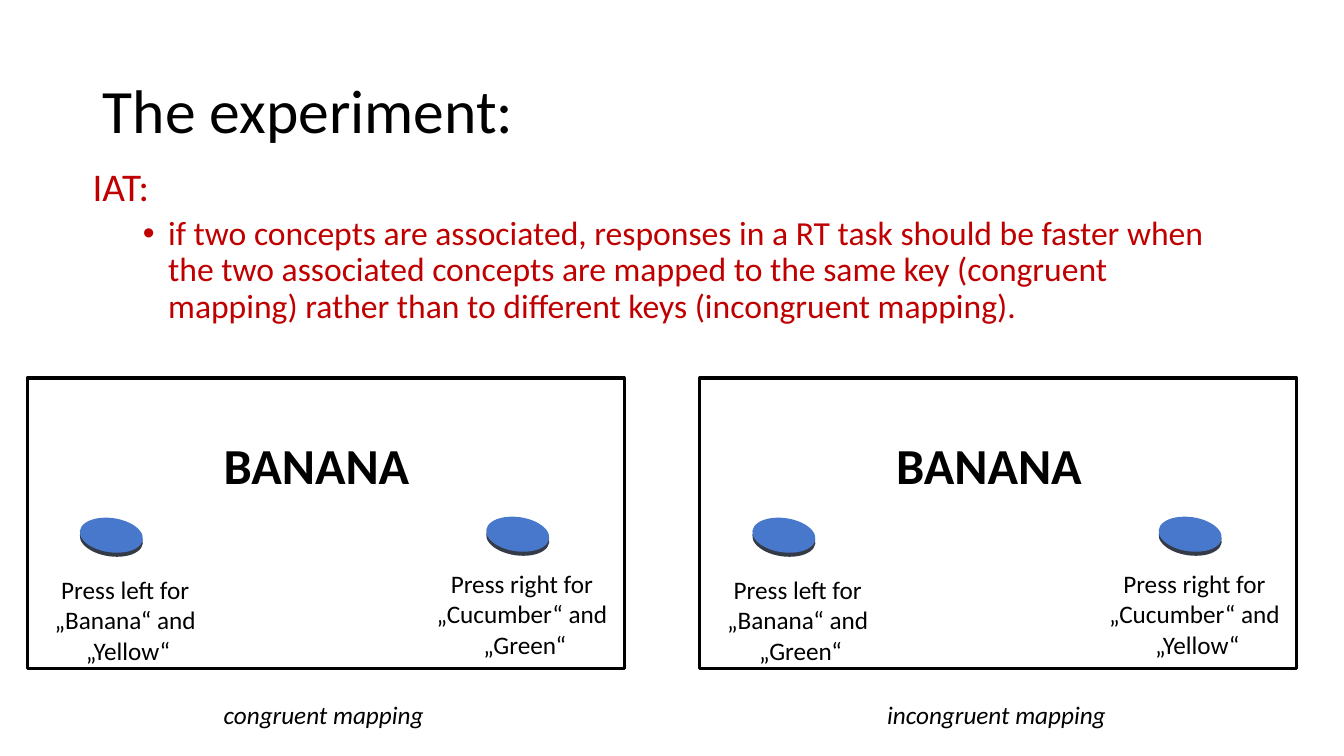
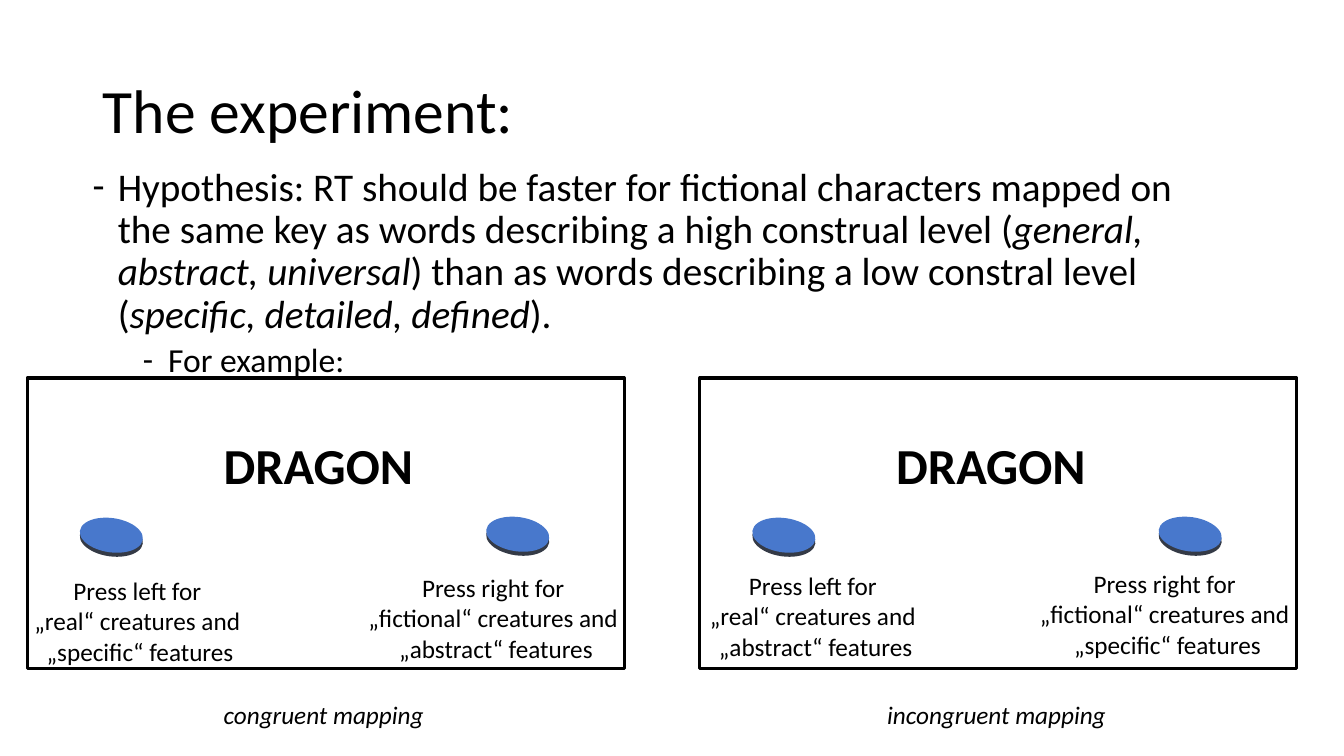
from lxml import etree
from pptx import Presentation
from pptx.dml.color import RGBColor
from pptx.enum.shapes import MSO_SHAPE as SHAPE
from pptx.enum.text import MSO_ANCHOR as ANCHOR, MSO_AUTO_SIZE as AUTO, PP_ALIGN as ALIGN
from pptx.oxml.ns import qn
from pptx.util import Inches, Pt

FONT = "Calibri"
BLACK, RED, BLUE, EDGE = "000000", "C00000", "4878CC", "343A46"
PANEL_STEP = 6.67
BUTTON_STEP = 4.03

prs = Presentation()
prs.slide_width, prs.slide_height = Inches(13.33), Inches(7.5)


def style(p, size, color=BLACK, bold=False, italic=False):
    for r in p.runs:
        r.font.name, r.font.size = FONT, Pt(size)
        r.font.color.rgb = RGBColor.from_string(color)
        r.font.bold = bold
        r.font.italic = italic


def add_label(s, box, lines, size, align=ALIGN.LEFT, **look):
    tf = s.shapes.add_textbox(*map(Inches, box)).text_frame
    tf.word_wrap = False
    tf.text = "\n".join(lines)
    for p in tf.paragraphs:
        p.alignment = align
        style(p, size, **look)


slides = [
    {
        "color": RED,
        "body": [
            (0, None, ["IAT:"]),
            (1, "•", ["if two concepts are associated, responses in a RT task should be faster "
                      "when the two associated concepts are mapped to the same key (congruent "
                      "mapping) rather than to different keys (incongruent mapping)."]),
        ],
        "word": "BANANA",
        "word_width": 2.07,
        "keys": [
            ((0.43, 5.65, 1.68, 1.01), ["Press left for ", "„Banana“ and ", "„Yellow“"]),
            ((4.22, 5.59, 1.97, 1.01), ["Press right for ", "„Cucumber“ and ", "„Green“"]),
            ((7.1, 5.65, 1.68, 1.01), ["Press left for ", "„Banana“ and ", "„Green“"]),
            ((10.89, 5.59, 1.97, 1.01), ["Press right for ", "„Cucumber“ and ", "„Yellow“"]),
        ],
    },
    {
        "color": BLACK,
        "body": [
            (0, "-", ["Hypothesis: RT should be faster for fictional characters mapped on the "
                      "same key as words describing a high construal level (",
                      "general, abstract, universal",
                      ") than as words describing a low constral level (",
                      "specific, detailed, defined", ")."]),
            (1, "-", ["For example: "]),
        ],
        "word": "DRAGON",
        "word_width": 2.1,
        "keys": [
            ((0.23, 5.66, 2.32, 1.01),
             ["Press left for ", "„real“ creatures and ", "„specific“ features"]),
            ((3.54, 5.63, 2.76, 1.01),
             ["Press right for ", "„fictional“ creatures and ", "„abstract“ features"]),
            ((6.93, 5.61, 2.32, 1.01),
             ["Press left for ", "„real“ creatures and ", "„abstract“ features"]),
            ((10.2, 5.59, 2.76, 1.01),
             ["Press right for ", "„fictional“ creatures and ", "„specific“ features"]),
        ],
    },
]
captions = [((2.12, 6.89, 2.24, 0.4), "congruent mapping"),
            ((8.7, 6.89, 2.39, 0.4), "incongruent mapping")]

for content in slides:
    s = prs.slides.add_slide(prs.slide_layouts[5])

    title = s.shapes.title
    title.left, title.top, title.width, title.height = map(Inches, (0.92, 0.4, 11.5, 1.45))
    tf = title.text_frame
    tf.text = "The experiment:"
    tf.auto_size, tf.vertical_anchor = AUTO.NONE, ANCHOR.MIDDLE
    p = tf.paragraphs[0]
    p.alignment, p.line_spacing = ALIGN.LEFT, 0.9
    style(p, 44)

    tf = s.shapes.add_textbox(*map(Inches, (0.82, 1.61, 11.5, 4.76))).text_frame
    tf.word_wrap = True
    for i, (level, bullet, parts) in enumerate(content["body"]):
        p = tf.add_paragraph() if i else tf.paragraphs[0]
        p.level, p.line_spacing = level, 0.9
        p.space_before = Pt(5 if level else 10)
        for part in parts:
            p.add_run().text = part
        style(p, 24 if level else 28, content["color"])
        for r in p.runs[1::2]:
            r.font.italic = True
        if bullet:
            pPr = p._p.get_or_add_pPr()
            pPr.set("marL", str(Inches(0.25 + 0.5 * level)))
            pPr.set("indent", str(Inches(-0.25)))
            etree.SubElement(pPr, qn("a:buFont")).set("typeface", FONT if bullet == "-" else "Arial")
            etree.SubElement(pPr, qn("a:buChar")).set("char", bullet)

    for panel in range(2):
        x = panel * PANEL_STEP
        frame = s.shapes.add_shape(SHAPE.RECTANGLE, *map(Inches, (0.27 + x, 3.75, 5.92, 2.88)))
        frame.shadow.inherit = False
        frame.fill.background()
        frame.line.color.rgb = RGBColor.from_string(BLACK)
        frame.line.width = Pt(2.25)

        for side in range(2):
            for color, drop in ((EDGE, 0.04), (BLUE, 0)):
                box = (0.79 + x + side * BUTTON_STEP, 5.14 - 0.01 * side + drop, 0.63, 0.34)
                disc = s.shapes.add_shape(SHAPE.OVAL, *map(Inches, box))
                disc.shadow.inherit = False
                disc.rotation = 8
                disc.fill.solid()
                disc.fill.fore_color.rgb = RGBColor.from_string(color)
                disc.line.fill.background()

        add_label(s, (2.12 + x, 4.26, content["word_width"], 0.71), [content["word"]], 36, bold=True)

    for box, lines in content["keys"]:
        add_label(s, box, lines, 18, ALIGN.CENTER)
    for box, caption in captions:
        add_label(s, box, [caption], 18, italic=True)

prs.save("out.pptx")
